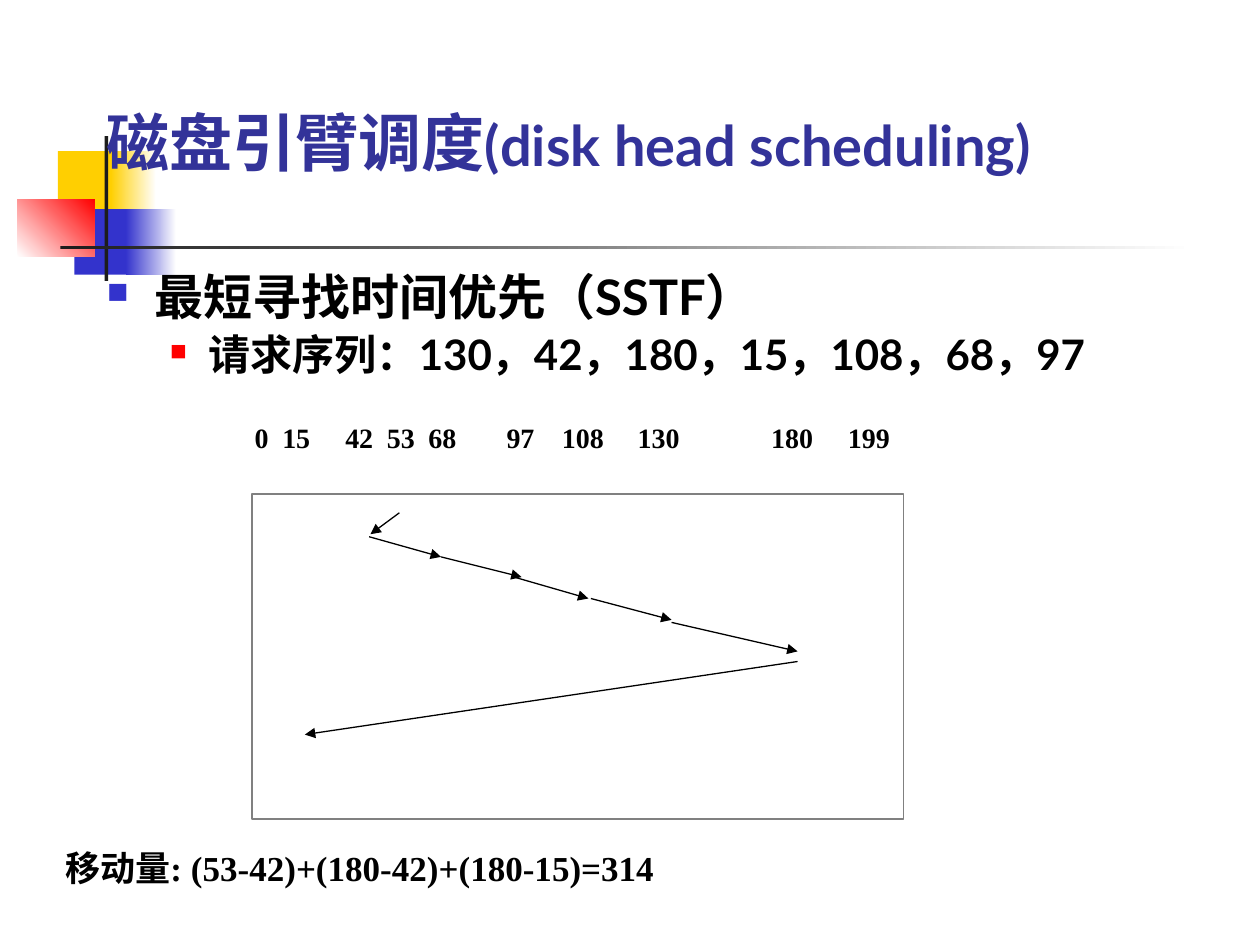
from lxml.etree import SubElement
from pptx import Presentation
from pptx.dml.color import RGBColor
from pptx.enum.shapes import MSO_CONNECTOR, MSO_SHAPE
from pptx.enum.text import MSO_ANCHOR
from pptx.oxml.ns import qn
from pptx.util import Inches, Pt

BLACK, WHITE, DARK = "000000", "FFFFFF", "1C1C1C"
YELLOW, BLUE, RED = "FFCF01", "3333CC", "FF0000"
TITLE_COLOR, FRAME_GRAY = "333399", "808080"
SANS, SERIF = "Lato", "Times New Roman"


def rgb(value):
    return RGBColor.from_string(value)


class SlideBuilder:
    """Draws styled elements on the current slide."""

    def __init__(self, slide):
        self.s = slide

    def rect(self, at, fill=None, fade=None, angle=0, line=None):
        """Add a rectangle; fade is the end colour of a gradient."""
        sp = self.s.shapes.add_shape(MSO_SHAPE.RECTANGLE, *map(Inches, at))
        sp.shadow.inherit = False
        if fade:
            sp.fill.gradient()
            sp.fill.gradient_angle = angle
            for stop, color in zip(sp.fill.gradient_stops, (fill, fade)):
                stop.color.rgb = rgb(color)
        elif fill:
            sp.fill.solid()
            sp.fill.fore_color.rgb = rgb(fill)
        else:
            sp.fill.background()
        if line:
            sp.line.color.rgb = rgb(line)
            sp.line.width = Pt(0.75)
        else:
            sp.line.fill.background()

    def text_box(self, at, insets=(0.1, 0.05), anchor=MSO_ANCHOR.TOP):
        tf = self.s.shapes.add_textbox(*map(Inches, at)).text_frame
        tf.word_wrap = True
        tf.vertical_anchor = anchor
        tf.margin_left = tf.margin_right = Inches(insets[0])
        tf.margin_top = tf.margin_bottom = Inches(insets[1])
        return tf

    def run(self, p, text, size, font, color=BLACK):
        r = p.add_run()
        r.text = text
        r.font.size = Pt(size)
        r.font.name = font
        r.font.bold = True
        r.font.color.rgb = rgb(color)

    def bullet(self, p, color, percent, left, hanging):
        pPr = p._p.get_or_add_pPr()
        pPr.set("marL", str(Inches(left)))
        pPr.set("indent", str(-Inches(hanging)))
        clr = SubElement(pPr, qn("a:buClr"))
        SubElement(clr, qn("a:srgbClr"), val=color)
        SubElement(pPr, qn("a:buSzPct"), val=str(percent * 1000))
        SubElement(pPr, qn("a:buChar"), char="■")
        p.line_spacing = 0.9

    def tab_stops(self, p, positions):
        tabs = SubElement(p._p.get_or_add_pPr(), qn("a:tabLst"))
        for pos in positions:
            SubElement(tabs, qn("a:tab"), pos=str(Inches(pos)), algn="l")

    def arrow(self, start, end):
        c = self.s.shapes.add_connector(
            MSO_CONNECTOR.STRAIGHT, *map(Inches, start + end))
        c.line.color.rgb = rgb(BLACK)
        c.line.width = Pt(0.75)
        SubElement(c.line._get_or_add_ln(), qn("a:tailEnd"), type="triangle")
        SubElement(c._element.spPr, qn("a:effectLst"))


def main():
    prs = Presentation()
    prs.slide_width, prs.slide_height = Inches(10), Inches(7.5)
    b = SlideBuilder(prs.slides.add_slide(prs.slide_layouts[6]))

    # Corner ornament and title rule
    b.rect((0.46, 1.2, 0.48, 0.52), YELLOW)
    b.rect((0.88, 1.2, 0.36, 0.52), YELLOW, WHITE)
    b.rect((0.59, 1.66, 0.46, 0.52), BLUE)
    b.rect((1, 1.66, 0.4, 0.52), BLUE, WHITE)
    b.rect((0.14, 1.58, 0.61, 0.46), WHITE, RED, angle=45)
    b.rect((0.83, 1.08, 0.03, 1.15), DARK)
    b.rect((0.48, 1.95, 9, 0.03), DARK, WHITE)

    p = b.text_box((0.75, 0.5, 8.5, 1.25), anchor=MSO_ANCHOR.MIDDLE).paragraphs[0]
    b.run(p, "磁盘引臂调度", 36, SANS, TITLE_COLOR)
    b.run(p, "(disk head scheduling)", 32, SANS, TITLE_COLOR)

    tf = b.text_box((0.75, 2.12, 8.5, 1))
    p = tf.paragraphs[0]
    b.bullet(p, BLUE, 60, 0.38, 0.38)
    b.run(p, "最短寻找时间优先（SSTF）", 28, SANS)
    p = tf.add_paragraph()
    p.level = 1
    b.bullet(p, RED, 55, 0.81, 0.31)
    p.space_before = Pt(4.8)
    b.run(p, "请求序列：130，42，180，15，108，68，97", 24, SANS)

    # Track numbers above the frame
    b.rect((2, 3.92, 5.17, 2.58), line=FRAME_GRAY)
    tracks = {0: 0, 15: 0.22, 42: 0.72, 53: 1.05, 68: 1.38, 97: 2,
              108: 2.44, 130: 3.04, 180: 4.1, 199: 4.71}
    p = b.text_box((2, 3.34, 5.15, 0.52), insets=(0.02, 0)).paragraphs[0]
    b.tab_stops(p, list(tracks.values())[1:])
    b.run(p, "\t".join(map(str, tracks)), 16, SERIF)

    p = b.text_box((0.42, 6.67, 9.5, 0.43)).paragraphs[0]
    b.run(p, "移动量: (53-42)+(180-42)+(180-15)=314", 20, SERIF)

    # Head movements in service order
    moves = [
        ((3.17, 4.07), (2.94, 4.24)),
        ((2.93, 4.26), (3.5, 4.42)),
        ((3.5, 4.42), (4.14, 4.58)),
        ((4.08, 4.58), (4.67, 4.75)),
        ((4.69, 4.75), (5.33, 4.92)),
        ((5.33, 4.94), (6.33, 5.17)),
        ((6.33, 5.25), (2.42, 5.83)),
    ]
    for start, end in moves:
        b.arrow(start, end)

    prs.save("out.pptx")


if __name__ == "__main__":
    main()
